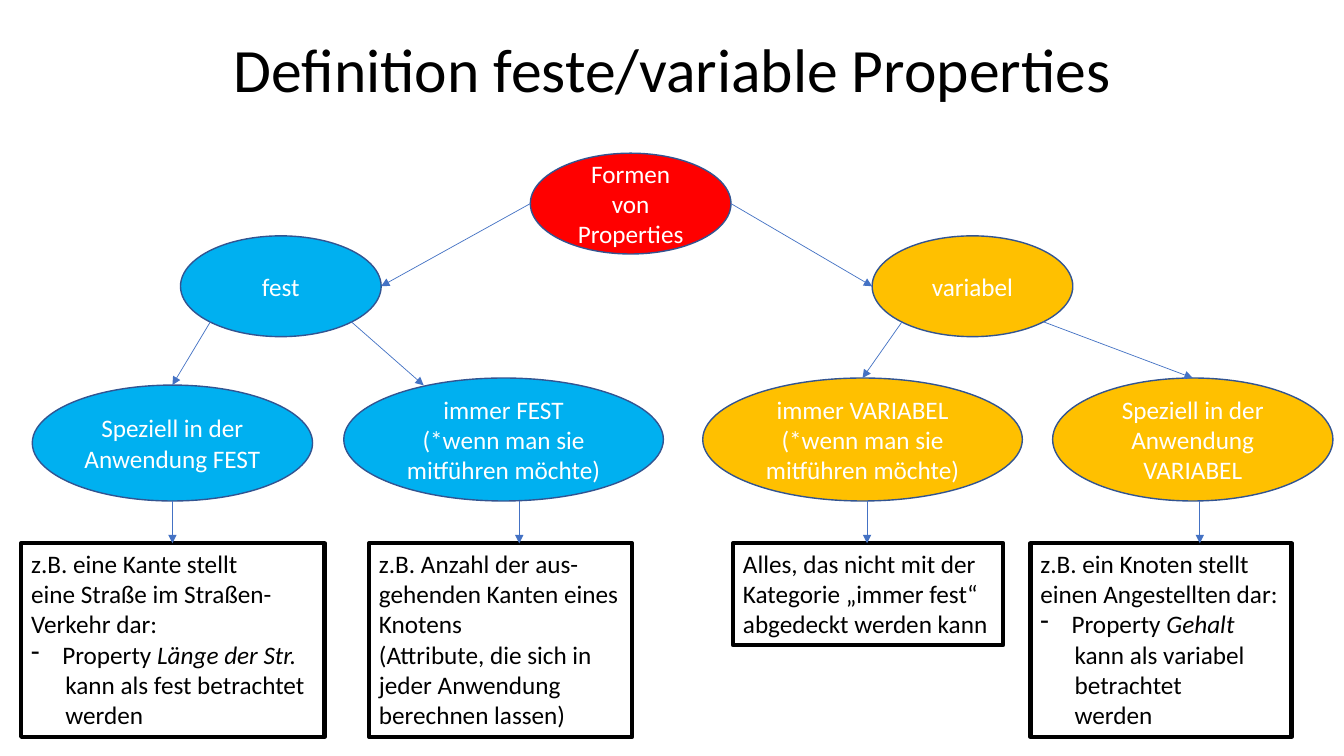
from dataclasses import dataclass

import pptx
import pptx.dml.color
import pptx.enum.shapes
import pptx.enum.text
import pptx.oxml
import pptx.oxml.ns
import pptx.util
from pptx.dml.color import RGBColor
from pptx.util import Inches

RED = RGBColor(0xFF, 0x00, 0x00)
BLUE = RGBColor(0x00, 0xB0, 0xF0)
AMBER = RGBColor(0xFF, 0xC0, 0x00)
OUTLINE = RGBColor(0x32, 0x54, 0x91)
ARROW = RGBColor(0x44, 0x72, 0xC4)
BLACK = RGBColor(0x00, 0x00, 0x00)
WHITE = RGBColor(0xFF, 0xFF, 0xFF)

ALIGN = pptx.enum.text.PP_ALIGN
ANCHOR = pptx.enum.text.MSO_ANCHOR
AUTO_SIZE = pptx.enum.text.MSO_AUTO_SIZE
CONTINUED_INDENT = 0.34
DASH_INDENT = 0.31
NODE_BOTTOM = 4.97
BOX_TOP = 5.39


@dataclass
class Node:
    left: float
    top: float
    width: float
    height: float
    fill: RGBColor
    lines: list[str]

    def point(self, site: tuple[float, float]) -> tuple[float, float]:
        """Return the slide position of a site given as fractions of the node."""
        return self.left + site[0] * self.width, self.top + site[1] * self.height


@dataclass
class Line:
    text: str
    italic: str = ""
    dash: bool = False
    continued: bool = False


@dataclass
class Example:
    left: float
    width: float
    height: float
    arrow_x: float
    lines: list[Line]


# Connection sites on an ellipse
LEFT, RIGHT, TOP = (0, 0.5), (1, 0.5), (0.5, 0)
LOWER_LEFT, LOWER_RIGHT = (0.15, 0.85), (0.85, 0.85)
UPPER_LEFT = (0.25, 0.06)

# Tree content
OPTIONAL = "(*wenn man sie mitführen möchte)"
NODES = {
    "root": Node(5.26, 1.52, 1.99, 1, RED, ["Formen von Properties"]),
    "fixed": Node(1.79, 2.34, 1.99, 1, BLUE, ["fest"]),
    "variable": Node(8.65, 2.34, 1.99, 1, AMBER, ["variabel"]),
    "special fixed": Node(0.32, 3.82, 2.78, 1.15, BLUE, ["Speziell in der Anwendung FEST"]),
    "always fixed": Node(3.41, 3.75, 3.17, 1.22, BLUE, ["immer FEST", OPTIONAL]),
    "always variable": Node(6.97, 3.75, 3.17, 1.22, AMBER, ["immer VARIABEL", OPTIONAL]),
    "special variable": Node(10.44, 3.75, 2.78, 1.22, AMBER, ["Speziell in der Anwendung VARIABEL"]),
}
BRANCHES = [
    ("root", LEFT, "fixed", RIGHT),
    ("root", RIGHT, "variable", LEFT),
    ("fixed", LOWER_LEFT, "special fixed", TOP),
    ("fixed", LOWER_RIGHT, "always fixed", UPPER_LEFT),
    ("variable", LOWER_LEFT, "always variable", TOP),
    ("variable", LOWER_RIGHT, "special variable", TOP),
]
EXAMPLES = [
    Example(0.21, 3.01, 1.92, 1.71, [
        Line("z.B. eine Kante stellt"),
        Line("eine Straße im Straßen-"),
        Line("Verkehr dar:"),
        Line("Property ", italic="Länge der Str.", dash=True),
        Line("kann als fest betrachtet", continued=True),
        Line("werden", continued=True),
    ]),
    Example(3.66, 2.61, 1.92, 5.15, [
        Line("z.B. Anzahl der aus-"),
        Line("gehenden Kanten eines"),
        Line("Knotens"),
        Line("(Attribute, die sich in"),
        Line("jeder Anwendung"),
        Line("berechnen lassen)"),
    ]),
    Example(7.27, 2.68, 1.01, 8.6, [
        Line("Alles, das nicht mit der"),
        Line("Kategorie „immer fest“"),
        Line("abgedeckt werden kann"),
    ]),
    Example(10.22, 2.59, 1.92, 11.9, [
        Line("z.B. ein Knoten stellt"),
        Line("einen Angestellten dar:"),
        Line("Property ", italic="Gehalt", dash=True),
        Line("kann als variabel", continued=True),
        Line("betrachtet", continued=True),
        Line("werden", continued=True),
    ]),
]


def apply(target, formats: dict) -> None:
    for name, value in formats.items():
        setattr(target, name, value)


def add_span(para, text: str, color: RGBColor, size: int = 18, italic: bool = False) -> None:
    span = para.add_run()
    span.text = text
    apply(span.font, {"name": "Calibri", "size": pptx.util.Pt(size), "italic": italic})
    span.font.color.rgb = color


def next_para(frame, index: int):
    return frame.add_paragraph() if index else frame.paragraphs[0]


def set_line(shape, color: RGBColor, width: float) -> None:
    shape.line.color.rgb = color
    shape.line.width = pptx.util.Pt(width)


def add_title(page, text: str) -> None:
    title = page.shapes.title
    apply(title, {"left": Inches(0.92), "top": Inches(0.25),
                  "width": Inches(11.5), "height": Inches(0.93)})
    apply(title.text_frame, {"vertical_anchor": ANCHOR.MIDDLE, "word_wrap": True,
                             "auto_size": AUTO_SIZE.NONE})
    para = title.text_frame.paragraphs[0]
    apply(para, {"alignment": ALIGN.CENTER, "line_spacing": 0.9})
    add_span(para, text, BLACK, size=44)


def add_node(page, node: Node) -> None:
    shape = page.shapes.add_shape(
        pptx.enum.shapes.MSO_SHAPE.OVAL, Inches(node.left), Inches(node.top),
        Inches(node.width), Inches(node.height))
    shape.shadow.inherit = False
    shape.fill.solid()
    shape.fill.fore_color.rgb = node.fill
    set_line(shape, OUTLINE, 1)
    apply(shape.text_frame, {"vertical_anchor": ANCHOR.MIDDLE, "word_wrap": True})
    for index, text in enumerate(node.lines):
        para = next_para(shape.text_frame, index)
        para.alignment = ALIGN.CENTER
        add_span(para, text, WHITE)


def add_arrow(page, start: tuple[float, float], end: tuple[float, float]) -> None:
    arrow = page.shapes.add_connector(
        pptx.enum.shapes.MSO_CONNECTOR.STRAIGHT, *map(Inches, start + end))
    set_line(arrow, ARROW, 0.5)
    head = pptx.oxml.ns.qn("a:tailEnd")
    arrow.line._get_or_add_ln().makeelement(head)
    pptx.oxml.ns.qn("a:ln")
    properties = arrow._element.spPr
    outline = properties.find(pptx.oxml.ns.qn("a:ln"))
    outline.append(outline.makeelement(head, {"type": "triangle"}))
    properties.append(properties.makeelement(pptx.oxml.ns.qn("a:effectLst"), {}))


def indent_para(para, line: Line) -> None:
    properties = para._p.get_or_add_pPr()
    if line.dash:
        properties.set("marL", str(Inches(DASH_INDENT)))
        properties.set("indent", str(-Inches(DASH_INDENT)))
        bullet = pptx.oxml.ns.qn("a:buChar")
        properties.append(properties.makeelement(bullet, {"char": "-"}))
    elif line.continued:
        properties.set("marL", str(Inches(CONTINUED_INDENT)))


def add_example(page, example: Example) -> None:
    box = page.shapes.add_textbox(Inches(example.left), Inches(BOX_TOP),
                                  Inches(example.width), Inches(example.height))
    set_line(box, BLACK, 3)
    apply(box.text_frame, {"word_wrap": False, "auto_size": AUTO_SIZE.SHAPE_TO_FIT_TEXT})
    for index, line in enumerate(example.lines):
        para = next_para(box.text_frame, index)
        indent_para(para, line)
        add_span(para, line.text, BLACK)
        if line.italic:
            add_span(para, line.italic, BLACK, italic=True)


def main() -> None:
    deck = pptx.Presentation()
    apply(deck, {"slide_width": Inches(13.33), "slide_height": Inches(7.5)})
    page = deck.slides.add_slide(deck.slide_layouts[5])
    add_title(page, "Definition feste/variable Properties")
    # Tree of property kinds
    for node in NODES.values():
        add_node(page, node)
    for parent, start, child, end in BRANCHES:
        add_arrow(page, NODES[parent].point(start), NODES[child].point(end))
    # Examples below the leaves
    for example in EXAMPLES:
        add_example(page, example)
        add_arrow(page, (example.arrow_x, NODE_BOTTOM), (example.arrow_x, BOX_TOP))
    deck.save("out.pptx")


if __name__ == "__main__":
    main()
